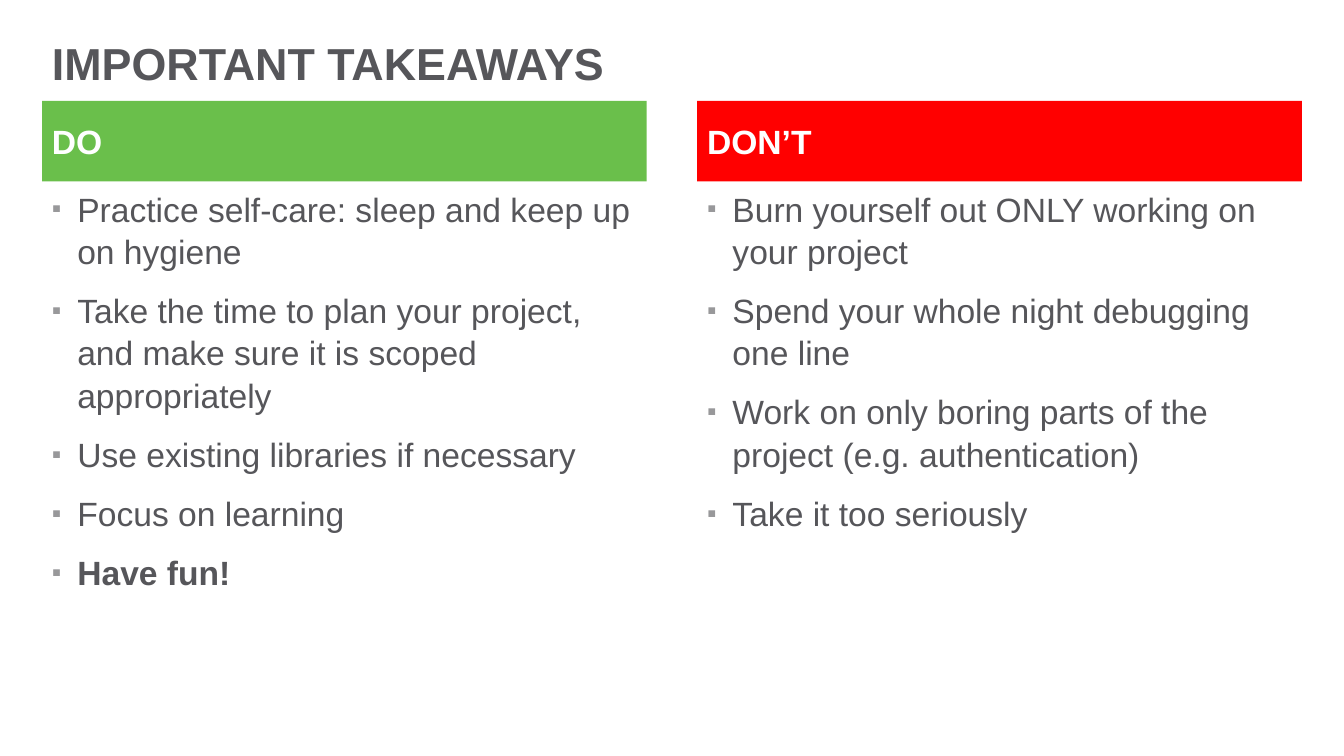
from lxml import etree
from pptx import Presentation
from pptx import util as u
from pptx.dml import color
from pptx.enum import shapes, text
from pptx.oxml import ns

GREY, BULLET_GREY, WHITE = "56565A", "98989A", "FFFFFF"
MARGIN, COLUMN_WIDTH, COLUMN_STEP = 1.06, 15.24, 16.51

takeaways = [
    ("DO", "6ABF4B", [
        ("Practice self-care: sleep and keep up on hygiene", False),
        ("Take the time to plan your project, and make sure it is scoped appropriately", False),
        ("Use existing libraries if necessary", False),
        ("Focus on learning", False),
        ("Have fun!", True),
    ]),
    ("DON’T", "FF0000", [
        ("Burn yourself out ONLY working on your project", False),
        ("Spend your whole night debugging one line", False),
        ("Work on only boring parts of the project (e.g. authentication)", False),
        ("Take it too seriously", False),
    ]),
]


def add_run(paragraph, words, size, hex_color, bold):
    paragraph.alignment = text.PP_ALIGN.LEFT
    run = paragraph.add_run()
    run.text = words
    run.font.name = "Arial"
    run.font.size = u.Pt(size)
    run.font.bold = bold
    run.font.color.rgb = color.RGBColor.from_string(hex_color)


def set_frame(frame, anchor, top, bottom):
    frame.word_wrap = True
    frame.auto_size = text.MSO_AUTO_SIZE.NONE
    frame.vertical_anchor = anchor
    frame.margin_left = frame.margin_right = u.Cm(0.25)
    frame.margin_top, frame.margin_bottom = u.Cm(top), u.Cm(bottom)


deck = Presentation()
deck.slide_width, deck.slide_height = u.Cm(33.87), u.Cm(19.05)
slide = deck.slides.add_slide(deck.slide_layouts[5])

# Title
title = slide.shapes.title
title.left, title.top = u.Cm(MARGIN), u.Cm(0.64)
title.width, title.height = u.Cm(31.75), u.Cm(1.9)
set_frame(title.text_frame, text.MSO_ANCHOR.MIDDLE, 0.13, 0)
title_line = title.text_frame.paragraphs[0]
title_line.line_spacing = 0.9
add_run(title_line, "IMPORTANT TAKEAWAYS", 32, GREY, True)

for column, (heading, band_color, points) in enumerate(takeaways):
    left = u.Cm(MARGIN + column * COLUMN_STEP)

    # Heading band
    band = slide.shapes.add_shape(shapes.MSO_SHAPE.RECTANGLE, left, u.Cm(2.54),
                                  u.Cm(COLUMN_WIDTH), u.Cm(2.03))
    band.shadow.inherit = False
    band.fill.solid()
    band.fill.fore_color.rgb = color.RGBColor.from_string(band_color)
    band.line.fill.background()
    set_frame(band.text_frame, text.MSO_ANCHOR.MIDDLE, 0, 0)
    add_run(band.text_frame.paragraphs[0], heading, 24, WHITE, True)

    # Bulleted advice
    advice = slide.shapes.add_textbox(left, u.Cm(4.45), u.Cm(COLUMN_WIDTH), u.Cm(13.34))
    frame = advice.text_frame
    set_frame(frame, text.MSO_ANCHOR.TOP, 0.25, 0.25)
    for index, (point, bold) in enumerate(points):
        paragraph = frame.add_paragraph() if index else frame.paragraphs[0]
        paragraph.line_spacing = 1.05
        paragraph.space_after = u.Pt(12)
        properties = paragraph._p.get_or_add_pPr()
        properties.set("marL", str(u.Cm(0.64)))
        properties.set("indent", str(u.Cm(-0.64)))
        bullet_color = etree.SubElement(properties, ns.qn("a:buClr"))
        etree.SubElement(bullet_color, ns.qn("a:srgbClr"), val=BULLET_GREY)
        etree.SubElement(properties, ns.qn("a:buSzPct"), val="80000")
        etree.SubElement(properties, ns.qn("a:buFont"), typeface="Arial")
        etree.SubElement(properties, ns.qn("a:buChar"), char="▪")
        add_run(paragraph, point, 24, GREY, bold)

deck.save("out.pptx")
